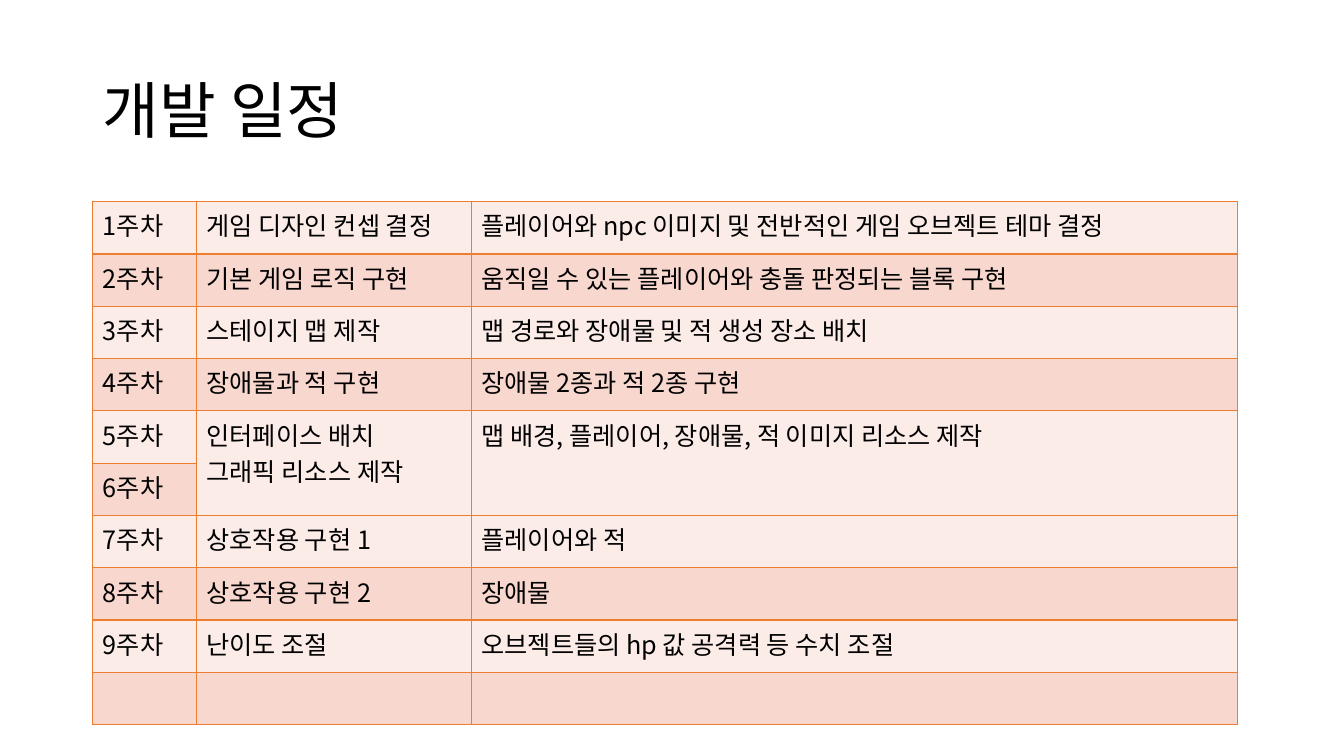
from lxml.etree import SubElement
from pptx import Presentation
from pptx.dml.color import RGBColor as RGB
from pptx.enum.text import MSO_ANCHOR as ANCHOR, PP_ALIGN as ALIGN
from pptx.oxml import parse_xml
from pptx.oxml.ns import qn
from pptx.util import Inches, Pt

FONT = "Noto Sans CJK KR"
COLORS = {"text": "000000", "border": "ED7D31", "light": "FCECE8", "dark": "F8D7CE"}
A_NS = "http://schemas.openxmlformats.org/drawingml/2006/main"

TITLE_BOX = (0.92, 0.4, 11.5, 1.45)
SCHEDULE_BOX = (0.92, 2, 11.35, 5.19)
COLUMN_SHARES = (1.03, 2.73, 7.6)

# Task and details of each week; None continues the week above
WEEKS = [
    ("게임 디자인 컨셉 결정", "플레이어와 npc 이미지 및 전반적인 게임 오브젝트 테마 결정"),
    ("기본 게임 로직 구현", "움직일 수 있는 플레이어와 충돌 판정되는 블록 구현"),
    ("스테이지 맵 제작", "맵 경로와 장애물 및 적 생성 장소 배치"),
    ("장애물과 적 구현", "장애물 2종과 적 2종 구현"),
    ("인터페이스 배치\n그래픽 리소스 제작", "맵 배경, 플레이어, 장애물, 적 이미지 리소스 제작"),
    None,
    ("상호작용 구현 1", "플레이어와 적"),
    ("상호작용 구현 2", "장애물"),
    ("난이도 조절", "오브젝트들의 hp 값 공격력 등 수치 조절"),
]


def write_text(frame, text, size=18, color="text", align=ALIGN.LEFT, spacing=None):
    frame.text = text
    for paragraph in frame.paragraphs:
        paragraph.alignment = align
        paragraph.line_spacing = spacing
        for run in paragraph.runs:
            run.font.size = Pt(size)
            run.font.color.rgb = RGB.from_string(COLORS[color])
            run.font.name = FONT
            SubElement(run.font._element, qn("a:ea"), typeface=FONT)


def style_cell(cell, fill):
    cell.fill.solid()
    cell.fill.fore_color.rgb = RGB.from_string(COLORS[fill])
    properties = cell._tc.get_or_add_tcPr()
    for index, side in enumerate("LRTB"):
        properties.insert(index, parse_xml(
            f'<a:ln{side} xmlns:a="{A_NS}" w="{Pt(1)}"><a:solidFill>'
            f'<a:srgbClr val="{COLORS["border"]}"/></a:solidFill></a:ln{side}>'))


def add_title(slide, box):
    title = slide.shapes.title
    title.left, title.top, title.width, title.height = map(Inches, box)
    title.text_frame.vertical_anchor = ANCHOR.MIDDLE
    write_text(title.text_frame, "개발 일정", size=44, spacing=0.9)


def add_schedule(slide, box):
    width, height = box[2:]
    row_count = len(WEEKS) + 1  # one spare row at the bottom
    schedule = slide.shapes.add_table(
        row_count, len(COLUMN_SHARES), *map(Inches, box)).table
    schedule.first_row = schedule.horz_banding = False
    for column, share in zip(schedule.columns, COLUMN_SHARES):
        column.width = Inches(width * share / sum(COLUMN_SHARES))

    # Alternating bands
    for number, row in enumerate(schedule.rows):
        row.height = Inches(height / row_count)
        for cell in row.cells:
            style_cell(cell, "dark" if number % 2 else "light")

    # Weeks and their tasks
    for number, week in enumerate(WEEKS):
        write_text(schedule.cell(number, 0).text_frame, f"{number + 1}주차")
        for column, text in enumerate(week or (None, None), start=1):
            cell = schedule.cell(number, column)
            if text is None:
                schedule.cell(number - 1, column).merge(cell)
            else:
                write_text(cell.text_frame, text)


def main():
    deck = Presentation()
    deck.slide_width, deck.slide_height = Inches(13.33), Inches(7.5)
    slide = deck.slides.add_slide(deck.slide_layouts[5])
    add_title(slide, TITLE_BOX)
    add_schedule(slide, SCHEDULE_BOX)
    deck.save("out.pptx")


if __name__ == "__main__":
    main()
